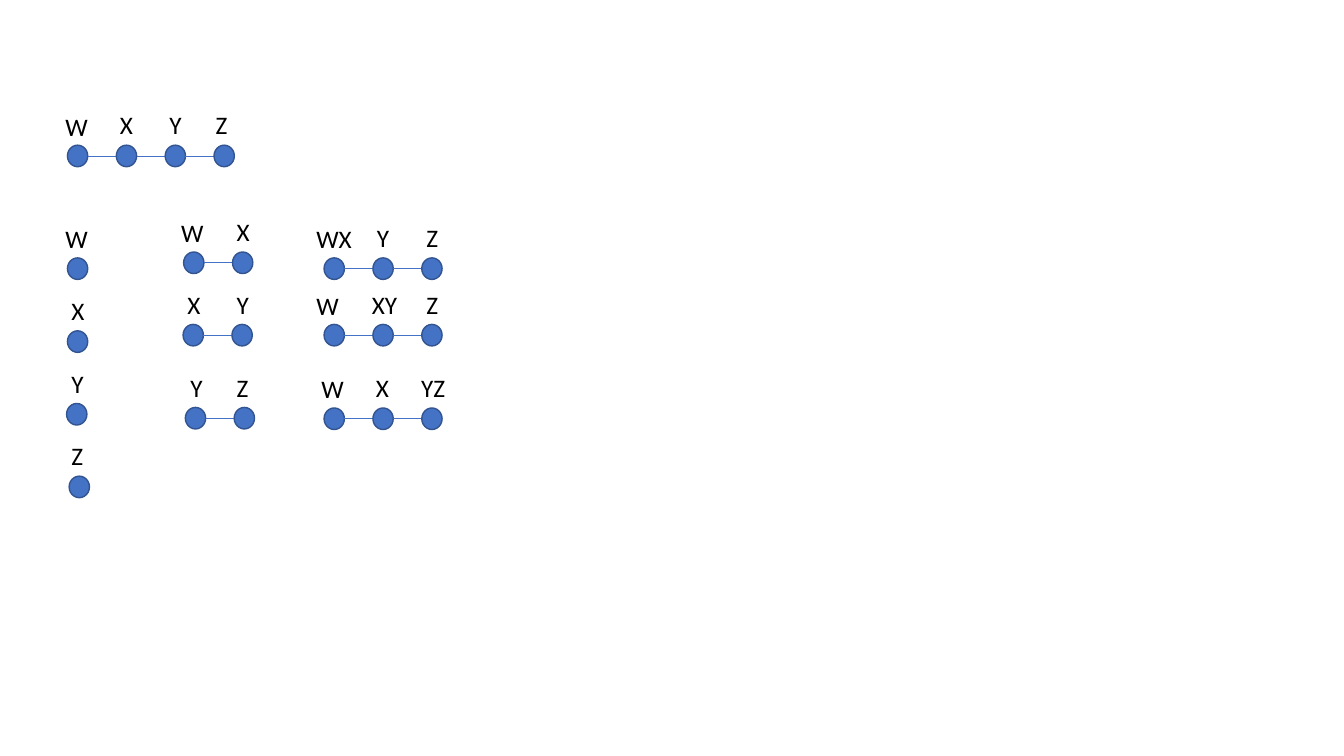
from pptx import Presentation
from pptx.dml.color import RGBColor
from pptx.enum.shapes import MSO_CONNECTOR, MSO_SHAPE
from pptx.enum.text import MSO_AUTO_SIZE, PP_ALIGN
from pptx.oxml import parse_xml
from pptx.oxml.ns import nsdecls
from pptx.util import Pt

BLUE = RGBColor(0x44, 0x72, 0xC4)
NAVY = RGBColor(0x32, 0x54, 0x91)
BLACK = RGBColor(0, 0, 0)


def apply(target, values):
    for name, value in values.items():
        setattr(target, name, value)


class Board:
    font = {"name": "Calibri", "size": Pt(18)}
    frame = {"word_wrap": True, "auto_size": MSO_AUTO_SIZE.SHAPE_TO_FIT_TEXT}
    wide, high, step = 14.5, 15.4, 34.9
    widths = {"W": 31.7, "WX": 46, "XY": 33.8, "YZ": 33.1}

    def __init__(self, slide):
        self.shapes = slide.shapes

    def label(self, text, left, top):
        width = self.widths.get(text, 25.2)
        box = self.shapes.add_textbox(Pt(left), Pt(top), Pt(width), Pt(29))
        apply(box.text_frame, self.frame)
        para = box.text_frame.paragraphs[0]
        para.alignment = PP_ALIGN.LEFT
        run = para.add_run()
        run.text = text
        apply(run.font, self.font)
        run.font.color.rgb = BLACK

    def edge(self, start, end, level):
        link = self.shapes.add_connector(
            MSO_CONNECTOR.STRAIGHT, Pt(start), Pt(level), Pt(end), Pt(level))
        link.line.color.rgb = BLUE
        link.line.width = Pt(0.5)
        link._element.spPr.append(parse_xml(f"<a:effectLst {nsdecls('a')}/>"))

    def node(self, left, top):
        dot = self.shapes.add_shape(
            MSO_SHAPE.OVAL, Pt(left), Pt(top), Pt(self.wide), Pt(self.high))
        dot.shadow.inherit = False
        dot.fill.solid()
        dot.fill.fore_color.rgb = BLUE
        dot.line.color.rgb = NAVY
        dot.line.width = Pt(1)

    def chain(self, left, top, labels):
        for index, (text, place) in enumerate(labels):
            spot = left + index * self.step
            rise = 28.1 if text.startswith("W") else 28.9
            self.label(text, place, top - rise)
            if index:
                self.edge(spot - self.step + self.wide, spot, top + self.high / 2)
            self.node(spot, top)


CHAINS = [
    (48.2, 103.7, [("W", 39.6), ("X", 78.5), ("Y", 113.8), ("Z", 146.9)]),
    (48.2, 184.2, [("W", 39.6)]),
    (48.2, 236.3, [("X", 43.9)]),
    (47.6, 288.2, [("Y", 43.9)]),
    (49.4, 340.1, [("Z", 43.9)]),
    (131.2, 180, [("W", 122.4), ("X", 162)]),
    (130.8, 231.7, [("X", 126.7), ("Y", 162)]),
    (132.4, 291, [("Y", 128.9), ("Z", 162)]),
    (231.5, 184.2, [("WX", 218.9), ("Y", 262.1), ("Z", 297.4)]),
    (231.5, 231.7, [("W", 218.9), ("XY", 258.5), ("Z", 297.4)]),
    (231.5, 291.4, [("W", 222.5), ("X", 261.4), ("YZ", 293.8)]),
]

deck = Presentation()
apply(deck, {"slide_width": Pt(960), "slide_height": Pt(540)})
board = Board(deck.slides.add_slide(deck.slide_layouts[6]))
for left, top, labels in CHAINS:
    board.chain(left, top, labels)
deck.save("out.pptx")
